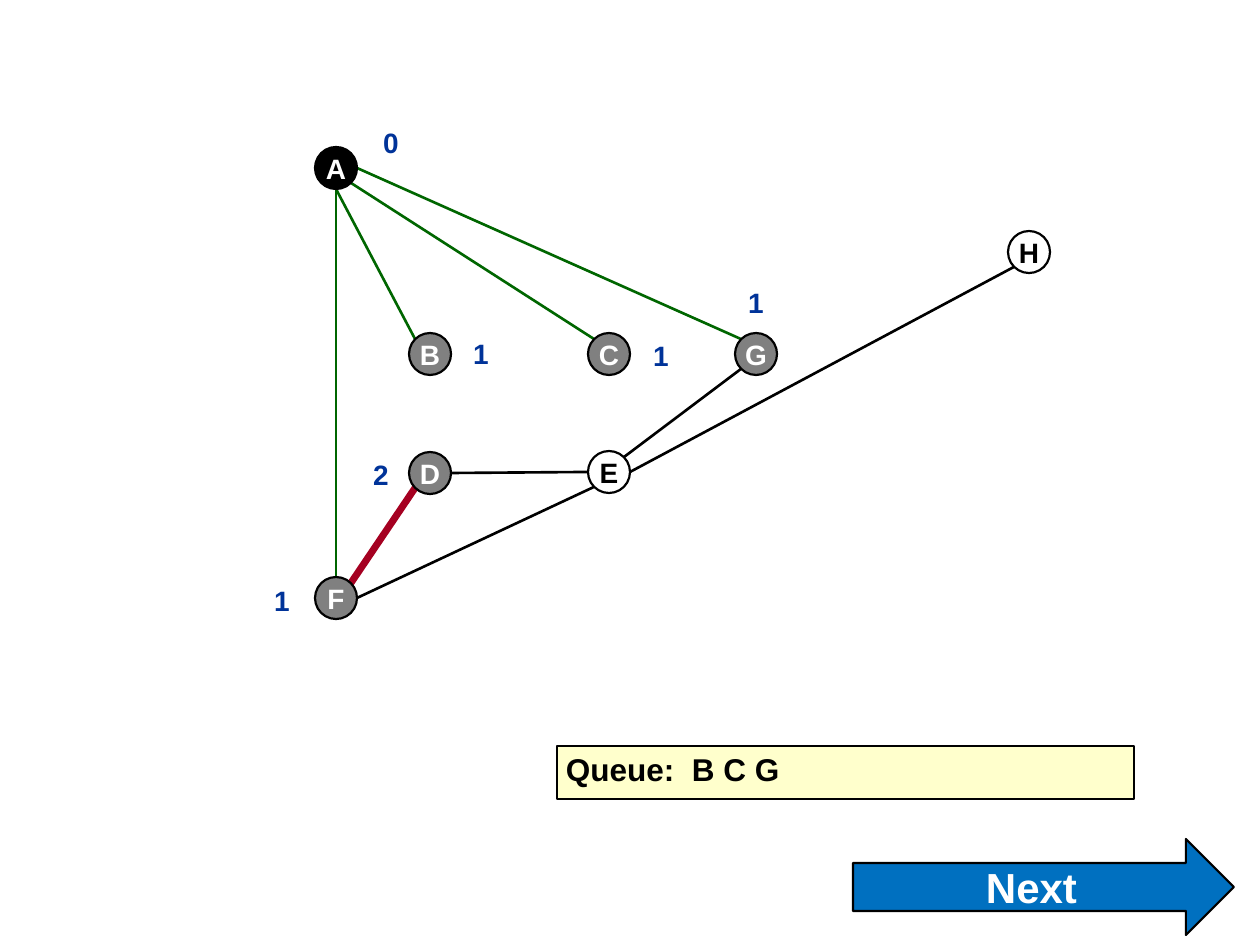
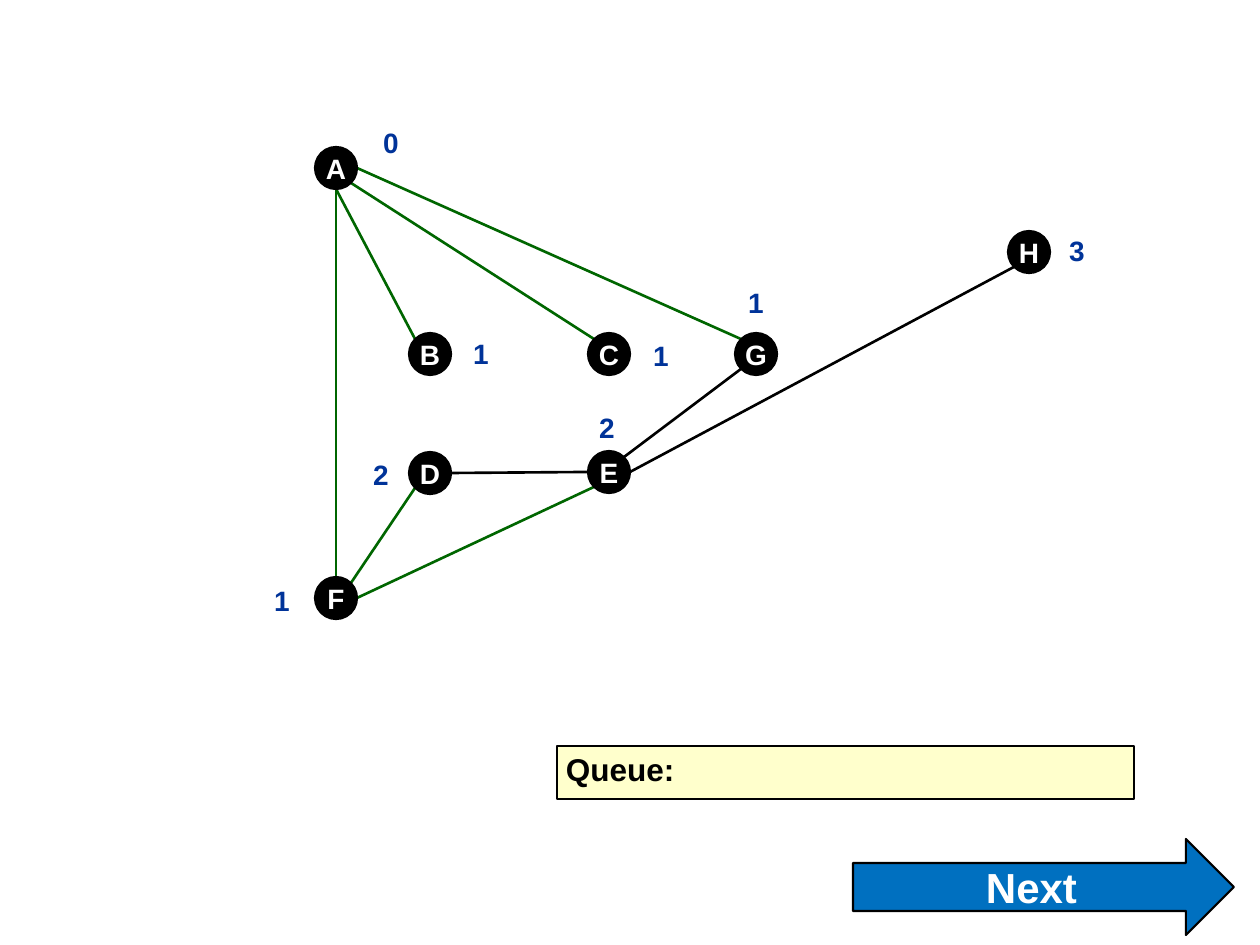
"""Build two slides that show steps of a breadth-first search on a graph."""
from math import cos, radians, sin

from lxml import etree
from pptx import Presentation
from pptx.dml.color import RGBColor
from pptx.enum.shapes import MSO_CONNECTOR, MSO_SHAPE
from pptx.enum.text import MSO_ANCHOR, PP_ALIGN
from pptx.oxml.ns import qn
from pptx.util import Emu, Pt

OVAL, RECTANGLE, ARROW = MSO_SHAPE.OVAL, MSO_SHAPE.RECTANGLE, MSO_SHAPE.RIGHT_ARROW
STRAIGHT = MSO_CONNECTOR.STRAIGHT
LEFT, CENTER = PP_ALIGN.LEFT, PP_ALIGN.CENTER
TOP, MIDDLE = MSO_ANCHOR.TOP, MSO_ANCHOR.MIDDLE

BLACK = RGBColor(0x00, 0x00, 0x00)
WHITE = RGBColor(0xFF, 0xFF, 0xFF)
GRAY = RGBColor(0x80, 0x80, 0x80)
GREEN = RGBColor(0x00, 0x66, 0x00)
RED = RGBColor(0xA5, 0x00, 0x21)
NAVY = RGBColor(0x00, 0x33, 0x99)
BLUE = RGBColor(0x00, 0x70, 0xC0)
CREAM = RGBColor(0xFF, 0xFF, 0xCC)

FONT = "Arial"
PX_PER_INCH = 126
SLIDE_SIZE = (1260, 945)
RADIUS = 21
LABEL_SIZE = (40, 34)
QUEUE_BOX = (557, 746, 577, 53)
QUEUE_MARGINS = (9, 4)
QUEUE_TAB = 126
NEXT_BOX = (853, 839, 381, 96)

NODES = {
    "A": (336, 168), "B": (430, 354), "C": (609, 354), "D": (430, 473),
    "E": (609, 472), "F": (336, 598), "G": (756, 354), "H": (1029, 252),
}
LABELS = {
    "A": (391, 143), "B": (481, 354), "C": (661, 356), "D": (381, 474),
    "E": (607, 428), "F": (282, 600), "G": (756, 303), "H": (1077, 251),
}
ANGLES = {
    "right": 0, "bottom right": 45, "bottom": 90, "bottom left": 135,
    "left": 180, "top left": 225, "top": 270, "top right": 315,
}
EDGES = {
    "AF": ("bottom", "top"),
    "AB": ("bottom", "top left"),
    "AC": ("bottom right", "top left"),
    "AG": ("right", "top left"),
    "DE": ("right", "left"),
    "FE": ("right", "bottom left"),
    "FD": ("top right", "bottom left"),
    "EG": ("top right", "bottom left"),
    "EH": ("right", "bottom left"),
}
NODE_COLORS = {
    "finished": (BLACK, WHITE), "queued": (GRAY, WHITE), "unseen": (WHITE, BLACK),
}
EDGE_STYLES = {"plain": (BLACK, 1.5), "tree": (GREEN, 1.5), "current": (RED, 4)}

STEPS = [
    {
        "nodes": {"finished": "A", "queued": "BCDFG", "unseen": "EH"},
        "edges": {
            "tree": ["AF", "AB", "AC", "AG"],
            "plain": ["DE", "FE", "EG", "EH"],
            "current": ["FD"],
        },
        "distances": {"A": 0, "F": 1, "B": 1, "C": 1, "G": 1, "D": 2},
        "queue": "Queue:\tB C G",
    },
    {
        "nodes": {"finished": "ABCDEFGH"},
        "edges": {
            "tree": ["AF", "AB", "AC", "AG", "FE", "FD"],
            "plain": ["DE", "EG", "EH"],
        },
        "distances": {"A": 0, "F": 1, "B": 1, "C": 1, "G": 1, "D": 2, "E": 2, "H": 3},
        "queue": "Queue:",
    },
]


def px(length):
    return Emu(round(length * 914400 / PX_PER_INCH))


def around(center, width, height):
    return center[0] - width / 2, center[1] - height / 2, width, height


def rim_point(name, side):
    angle = radians(ANGLES[side])
    x, y = NODES[name]
    return px(x + RADIUS * cos(angle)), px(y + RADIUS * sin(angle))


def write(shape, text, size, color, align=CENTER, anchor=MIDDLE, wrap=False, margins=(0, 0)):
    frame = shape.text_frame
    frame.word_wrap = wrap
    frame.vertical_anchor = anchor
    frame.margin_left, frame.margin_top = map(px, margins)
    frame.margin_right = frame.margin_bottom = 0
    para = frame.paragraphs[0]
    para.text = text
    para.alignment = align
    para.font.name = FONT
    para.font.size = Pt(size)
    para.font.bold = True
    para.font.color.rgb = color
    return para


def add_box(page, kind, box, fill):
    shape = page.shapes.add_shape(kind, *map(px, box))
    shape.shadow.inherit = False
    shape.fill.solid()
    shape.fill.fore_color.rgb = fill
    shape.line.color.rgb = BLACK
    shape.line.width = Pt(1.25)
    return shape


def add_edge(page, edge, color, width):
    ends = [rim_point(name, side) for name, side in zip(edge, EDGES[edge])]
    line = page.shapes.add_connector(STRAIGHT, *ends[0], *ends[1])
    line.line.color.rgb = color
    line.line.width = Pt(width)
    properties = line._element.find(qn("p:spPr"))
    etree.SubElement(properties, qn("a:effectLst"))


def add_node(page, name, fill, color):
    box = around(NODES[name], 2 * RADIUS, 2 * RADIUS)
    write(add_box(page, OVAL, box, fill), name, 16, color)


def add_distance(page, name, distance):
    label = page.shapes.add_textbox(*map(px, around(LABELS[name], *LABEL_SIZE)))
    write(label, str(distance), 16, NAVY, anchor=TOP, wrap=True)


def add_queue(page, text):
    box = add_box(page, RECTANGLE, QUEUE_BOX, CREAM)
    para = write(box, text, 18, BLACK, LEFT, TOP, True, QUEUE_MARGINS)
    properties = para._p.get_or_add_pPr()
    tabs = etree.Element(qn("a:tabLst"))
    etree.SubElement(tabs, qn("a:tab"), pos=str(px(QUEUE_TAB)), algn="l")
    properties.insert(0, tabs)


def add_step(deck, step):
    page = deck.slides.add_slide(deck.slide_layouts[6])
    for style, edges in step["edges"].items():
        for edge in edges:
            add_edge(page, edge, *EDGE_STYLES[style])
    for state, names in step["nodes"].items():
        for name in names:
            add_node(page, name, *NODE_COLORS[state])
    for name, distance in step["distances"].items():
        add_distance(page, name, distance)
    add_queue(page, step["queue"])
    write(add_box(page, ARROW, NEXT_BOX, BLUE), "Next", 24, WHITE)


def main():
    deck = Presentation()
    deck.slide_width, deck.slide_height = map(px, SLIDE_SIZE)
    for step in STEPS:
        add_step(deck, step)
    deck.save("out.pptx")


if __name__ == "__main__":
    main()
